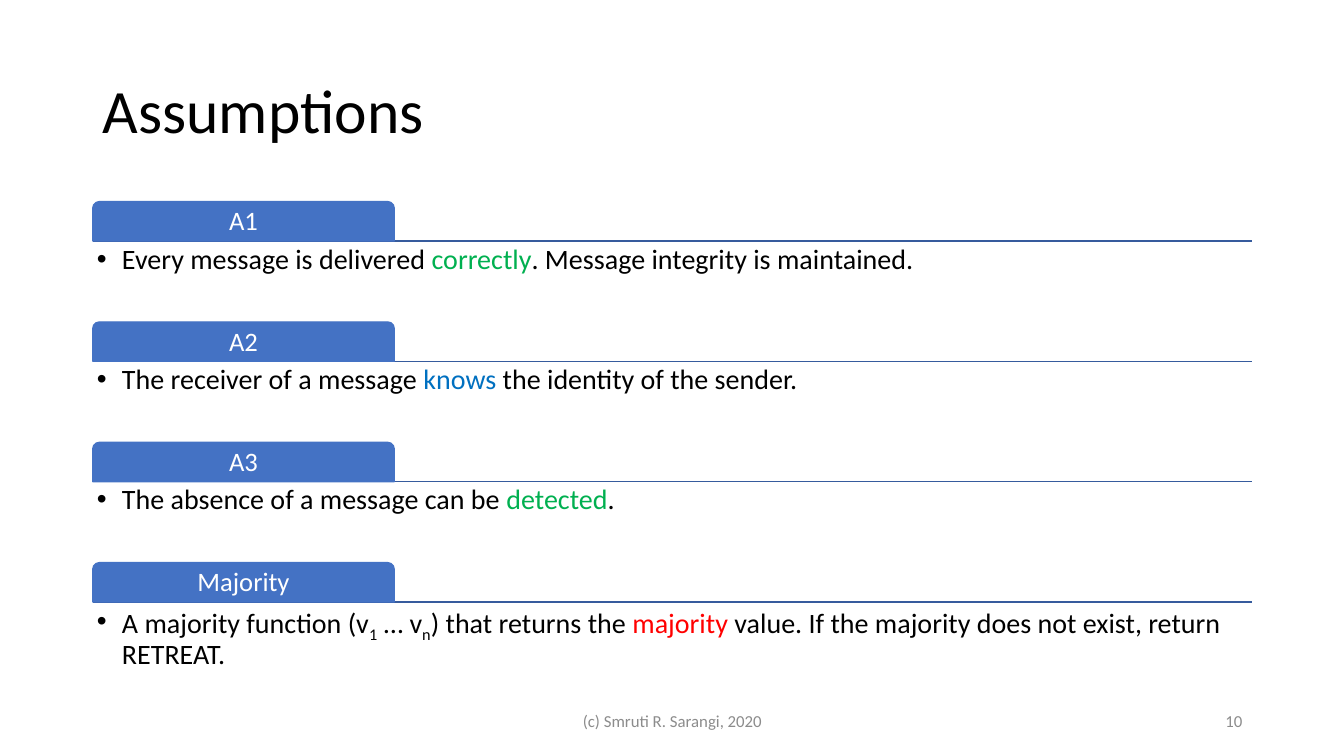
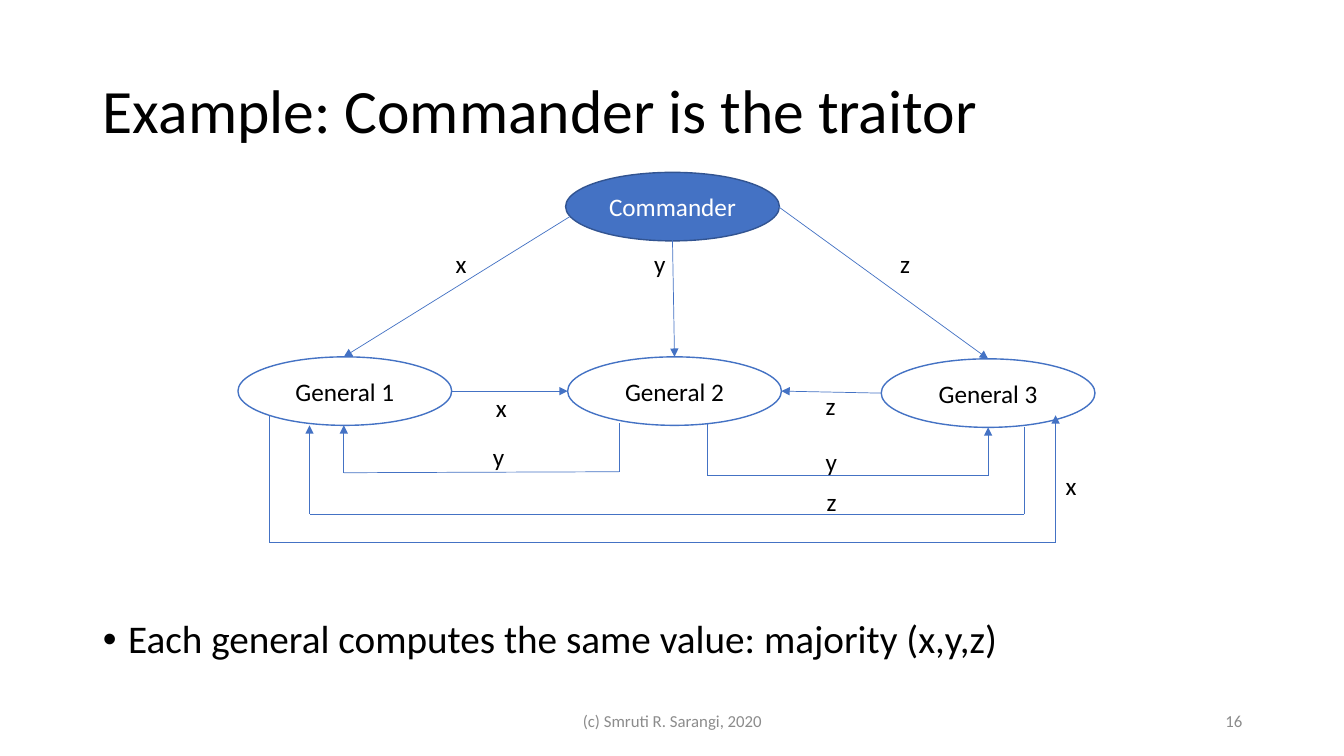
from itertools import pairwise

from lxml import etree
from pptx import Presentation
from pptx.dml.color import RGBColor
from pptx.enum.shapes import MSO_CONNECTOR as CONN, MSO_SHAPE as SHAPE
from pptx.enum.text import MSO_ANCHOR as ANCHOR, MSO_AUTO_SIZE as AUTO, PP_ALIGN as ALIGN
from pptx.oxml.ns import qn
from pptx.util import Inches, Pt

FONT = "Calibri"
BLACK = RGBColor(0x00, 0x00, 0x00)
WHITE = RGBColor(0xFF, 0xFF, 0xFF)
GRAY = RGBColor(0x8C, 0x8C, 0x8C)
BLUE = RGBColor(0x44, 0x72, 0xC4)
RULE_BLUE = RGBColor(0x36, 0x5B, 0x9D)
EDGE_BLUE = RGBColor(0x32, 0x54, 0x91)
GREEN = RGBColor(0x00, 0xB0, 0x50)
SKY = RGBColor(0x00, 0x70, 0xC0)
RED = RGBColor(0xFF, 0x00, 0x00)

LEFT, WIDTH = 0.92, 11.5
TITLE_BOX = (LEFT, 0.4, WIDTH, 1.45)
FOOTER = "(c) Smruti R. Sarangi, 2020"


# Text and drawing helpers
def write(sp, text, size=18, color=BLACK, align=ALIGN.LEFT, anchor=ANCHOR.TOP,
          spacing=1.0, before=0, inset=None, wrap=True, bullet=False):
    """Fill a shape; text is a string or a list of (text, color, is_subscript)."""
    tf = sp.text_frame
    tf.auto_size = AUTO.NONE
    tf.word_wrap = wrap
    tf.vertical_anchor = anchor
    if inset is not None:
        tf.margin_left = tf.margin_right = tf.margin_top = tf.margin_bottom = Inches(inset)
    p = tf.paragraphs[0]
    p.alignment = align
    p.line_spacing = spacing
    p.space_before = Pt(before)
    if bullet:
        add_bullet(p)
    for words, tint, is_sub in [(text, color, False)] if isinstance(text, str) else text:
        r = p.add_run()
        r.text = words
        r.font.name = FONT
        r.font.size = Pt(size)
        r.font.color.rgb = tint
        if is_sub:
            r.font._element.set("baseline", "-25000")


def add_bullet(p):
    pPr = p._p.get_or_add_pPr()
    pPr.set("marL", str(Inches(0.25)))
    pPr.set("indent", str(-Inches(0.25)))
    etree.SubElement(pPr, qn("a:buFont")).set("typeface", "Arial")
    etree.SubElement(pPr, qn("a:buChar")).set("char", "•")


def place(sp, x, y, w, h):
    sp.left, sp.top, sp.width, sp.height = (Inches(v) for v in (x, y, w, h))


def add_text(slide, box, text, **fmt):
    sp = slide.shapes.add_textbox(*(Inches(v) for v in box))
    write(sp, text, **fmt)


def add_box(slide, kind, box, fill, line):
    sp = slide.shapes.add_shape(kind, *(Inches(v) for v in box))
    sp.shadow.inherit = False
    sp.fill.solid()
    sp.fill.fore_color.rgb = fill
    sp.line.color.rgb = line
    sp.line.width = Pt(1)
    return sp


def add_line(slide, start, end, color=BLUE, width=0.5, arrow=False):
    cxn = slide.shapes.add_connector(CONN.STRAIGHT, *(Inches(v) for v in (*start, *end)))
    cxn.line.color.rgb = color
    cxn.line.width = Pt(width)
    if arrow:
        etree.SubElement(cxn.line._get_or_add_ln(), qn("a:tailEnd")).set("type", "triangle")
    etree.SubElement(cxn._element.spPr, qn("a:effectLst"))


# Parts shared by both slides
def add_slide(prs, layout, title, number):
    slide = prs.slides.add_slide(prs.slide_layouts.get_by_name(layout))
    place(slide.shapes.title, *TITLE_BOX)
    write(slide.shapes.title, title, size=44, anchor=ANCHOR.MIDDLE, spacing=0.9)
    add_text(slide, (4.42, 6.95, 4.5, 0.4), FOOTER, size=12, color=GRAY,
             align=ALIGN.CENTER, anchor=ANCHOR.MIDDLE)
    add_text(slide, (9.42, 6.95, 3, 0.4), str(number), size=12, color=GRAY,
             align=ALIGN.RIGHT, anchor=ANCHOR.MIDDLE)
    return slide


# Slide: tabbed list of assumptions
ASSUMPTIONS = [
    ("A1", [("Every message is delivered ", BLACK, False), ("correctly", GREEN, False),
            (". Message integrity is maintained.", BLACK, False)]),
    ("A2", [("The receiver of a message ", BLACK, False), ("knows", SKY, False),
            (" the identity of the sender.", BLACK, False)]),
    ("A3", [("The absence of a message can be ", BLACK, False), ("detected", GREEN, False),
            (".", BLACK, False)]),
    ("Majority", [("A majority function (v", BLACK, False), ("1", BLACK, True),
                  (" … v", BLACK, False), ("n", BLACK, True),
                  (") that returns the ", BLACK, False), ("majority", RED, False),
                  (" value. If the majority does not exist, return RETREAT.", BLACK, False)]),
]


def add_tabbed_item(slide, x, y, w, label, runs):
    tab_w, tab_h, text_h = 2.99, 0.39, 0.78
    rule_y = y + tab_h
    add_line(slide, (x, rule_y), (x + w, rule_y), color=RULE_BLUE, width=1)
    tab = add_box(slide, SHAPE.ROUND_2_SAME_RECTANGLE, (x, y, tab_w, tab_h), BLUE, BLUE)
    write(tab, label, size=19, color=WHITE, align=ALIGN.CENTER, anchor=ANCHOR.MIDDLE,
          spacing=0.9, inset=0.04)
    add_text(slide, (x, rule_y, w, text_h), runs, size=20, spacing=0.9, inset=0.04, bullet=True)


def assumptions_slide(prs):
    slide = add_slide(prs, "Title Only", "Assumptions", 10)
    top, pitch = 2, 1.194
    for i, (label, runs) in enumerate(ASSUMPTIONS):
        add_tabbed_item(slide, LEFT, top + i * pitch, WIDTH, label, runs)


# Slide: messages between commander and generals, in inches from the diagram's corner
NODE_W, NODE_H = 2.12, 0.68
NODES = [  # name, x, y, fill, line, text colour
    ("Commander", 3.25, 0, BLUE, EDGE_BLUE, WHITE),
    ("General 1", 0, 1.83, WHITE, BLUE, BLACK),
    ("General 2", 3.27, 1.83, WHITE, BLUE, BLACK),
    ("General 3", 6.38, 1.85, WHITE, BLUE, BLACK),
]
MESSAGES = [  # label, label position, route
    ("x", (2.06, 0.7), [(3.29, 0.44), (1.05, 1.83)]),
    ("y", (4.03, 0.7), [(4.31, 0.67), (4.33, 1.83)]),
    ("z", (6.47, 0.7), [(5.36, 0.34), (7.44, 1.85)]),
    ("x", (2.46, 2.13), [(2.11, 2.17), (3.27, 2.17)]),
    ("z", (5.73, 2.11), [(6.38, 2.19), (5.39, 2.17)]),
    ("y", (2.43, 2.62), [(3.78, 2.49), (3.78, 2.97), (1.05, 2.98), (1.05, 2.51)]),
    ("y", (5.73, 2.67), [(4.66, 2.49), (4.66, 3.01), (7.44, 3.01), (7.44, 2.53)]),
    ("z", (5.74, 3.07), [(7.8, 2.53), (7.8, 3.39), (0.71, 3.39), (0.71, 2.51)]),
    ("x", (8.11, 2.91), [(0.31, 2.41), (0.31, 3.67), (8.11, 3.67), (8.11, 2.41)]),
]


def add_message_diagram(slide, x, y):
    for name, dx, dy, fill, line, color in NODES:
        sp = add_box(slide, SHAPE.OVAL, (x + dx, y + dy, NODE_W, NODE_H), fill, line)
        write(sp, name, color=color, align=ALIGN.CENTER, anchor=ANCHOR.MIDDLE)
    for label, (dx, dy), route in MESSAGES:
        points = [(x + px, y + py) for px, py in route]
        for start, end in pairwise(points):
            add_line(slide, start, end, arrow=end == points[-1])
        add_text(slide, (x + dx, y + dy, 0.31, 0.4), label, wrap=False)


def traitor_slide(prs):
    slide = add_slide(prs, "Title and Content", "Example: Commander is the traitor", 16)
    body = slide.placeholders[1]
    place(body, LEFT, 6.1, WIDTH, 0.66)
    write(body, "Each general computes the same value: majority (x,y,z)",
          size=28, spacing=0.9, before=10, bullet=True)
    add_message_diagram(slide, 2.36, 1.71)


def main():
    prs = Presentation()
    prs.slide_width, prs.slide_height = Inches(13.33), Inches(7.5)
    assumptions_slide(prs)
    traitor_slide(prs)
    prs.save("out.pptx")


if __name__ == "__main__":
    main()
